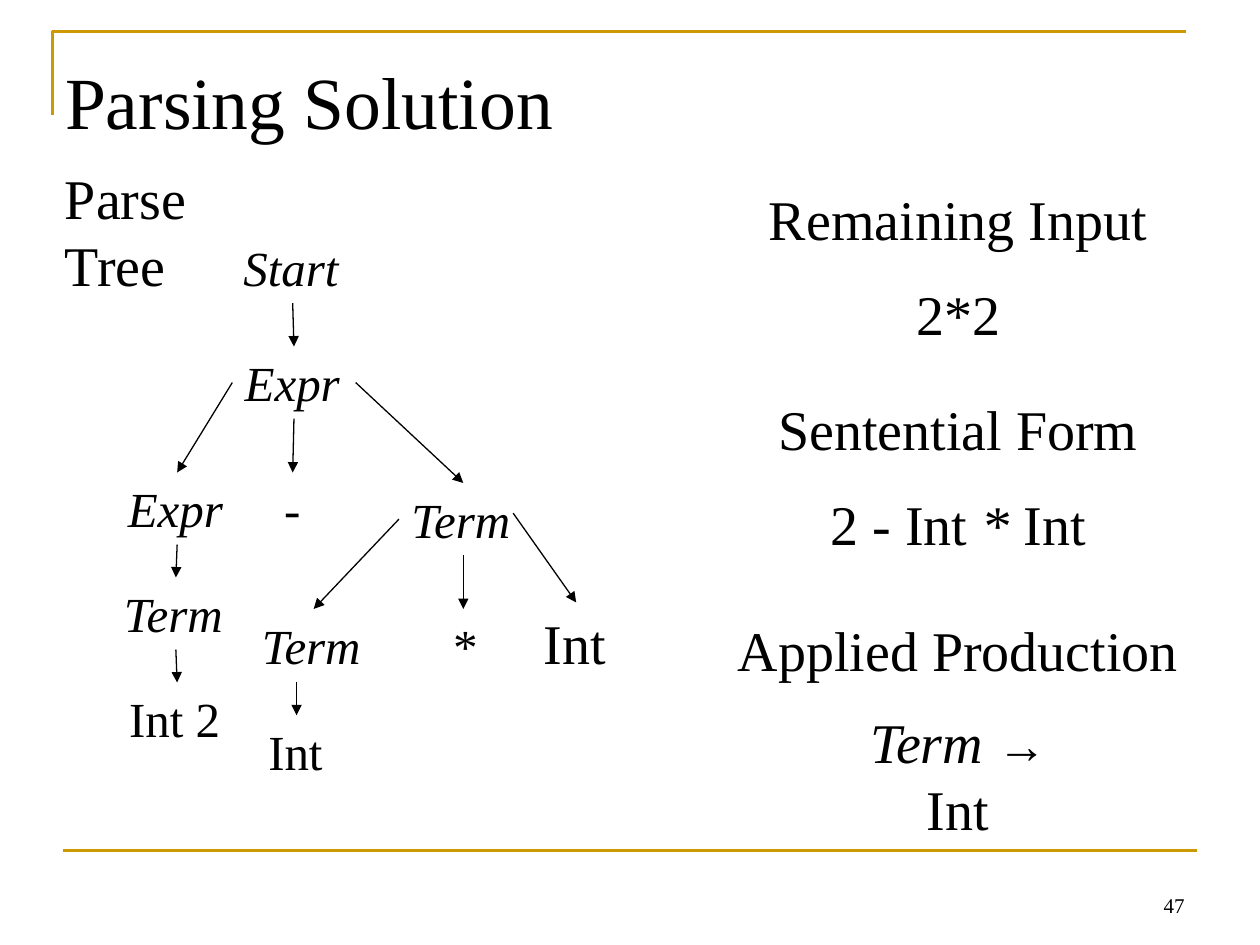
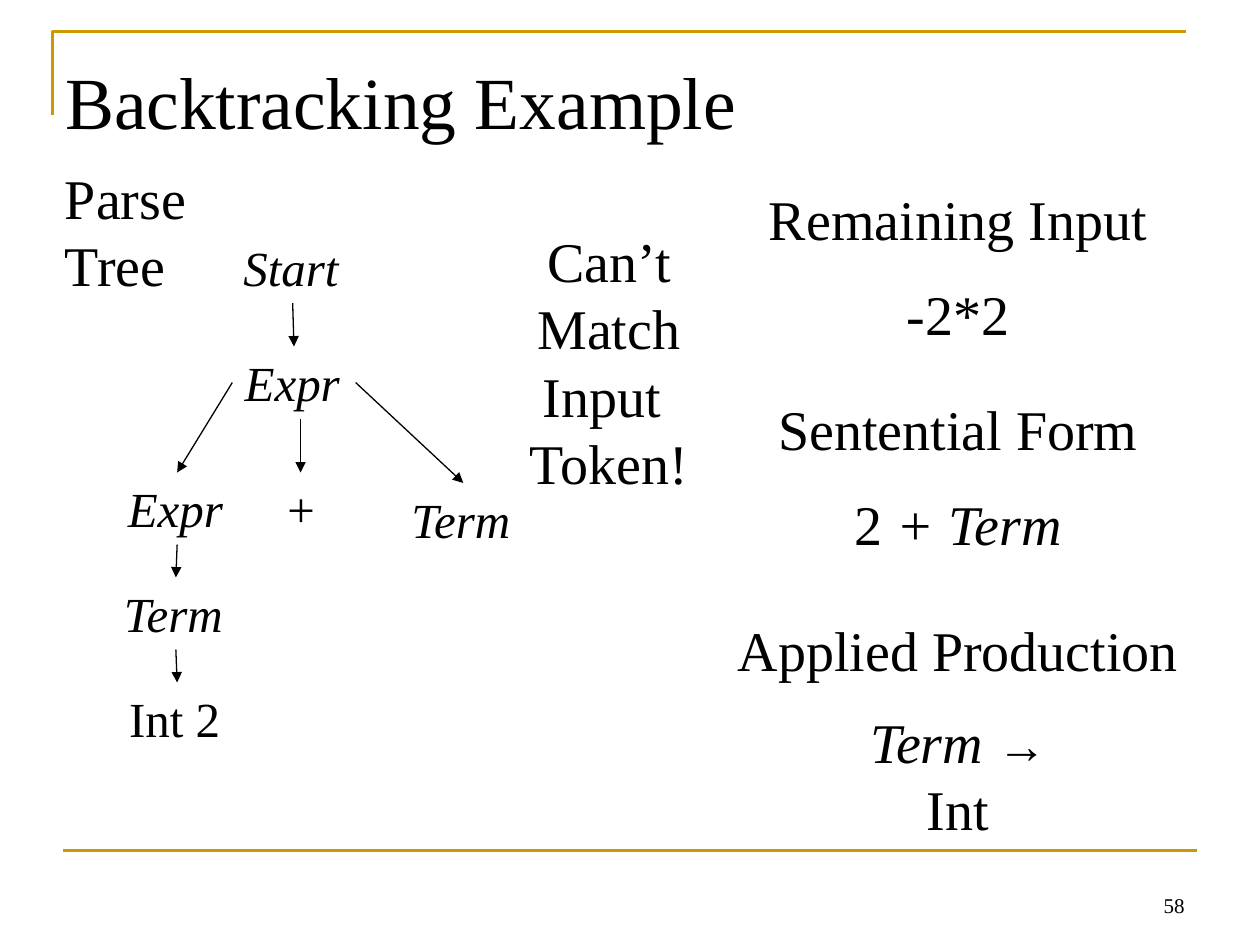
from pptx import Presentation
from pptx.dml.color import RGBColor
from pptx.enum.shapes import MSO_CONNECTOR as Connector
from pptx.enum.text import MSO_ANCHOR as Anchor, MSO_AUTO_SIZE as AutoSize, PP_ALIGN as Align
from pptx.oxml.ns import qn
from pptx.util import Pt
from lxml import etree

PX = 9525  # 96 px to the inch
SERIF = "Times New Roman"
BLACK, WHITE, GOLD = "000000", "FFFFFF", "CC9900"
TOP, LEFT, BOTTOM, RIGHT = range(4)


def color(hex_string):
    return RGBColor.from_string(hex_string)


def add_text(slide, text, left, top, width, height, size=32, italic=False, align=Align.LEFT,
             anchor=Anchor.TOP, wrap=False, grow=True, fill=None, shape=None):
    """Text is a string with one paragraph a line, or a list of (text, size, font, italic) runs."""
    shape = shape or slide.shapes.add_textbox(0, 0, 0, 0)
    frame = shape.text_frame
    frame.word_wrap = wrap
    frame.auto_size = AutoSize.SHAPE_TO_FIT_TEXT if grow else AutoSize.NONE
    frame.vertical_anchor = anchor
    if fill:
        shape.fill.solid()
        shape.fill.fore_color.rgb = color(fill)
    if isinstance(text, str):
        lines = [[(line, size, SERIF, italic)] for line in text.split("\n")]
    else:
        lines = [text]
    for index, runs in enumerate(lines):
        paragraph = frame.add_paragraph() if index else frame.paragraphs[0]
        paragraph.alignment = align
        for run_text, run_size, run_font, run_italic in runs:
            run = paragraph.add_run()
            run.text = run_text
            run.font.size, run.font.name, run.font.italic = Pt(run_size), run_font, run_italic
            run.font.color.rgb = color(BLACK)
    shape.left, shape.top, shape.width, shape.height = (v * PX for v in (left, top, width, height))
    return shape


def add_line(slide, start, end, line_color=BLACK, weight=0.75, arrow=True):
    """Each end is an (x, y) point or a (shape, side) pair to join."""
    line = slide.shapes.add_connector(Connector.STRAIGHT, 0, 0, 0, 0)
    if isinstance(start[0], int):
        line.begin_x, line.begin_y = start[0] * PX, start[1] * PX
    else:
        line.begin_connect(*start)
    if isinstance(end[0], int):
        line.end_x, line.end_y = end[0] * PX, end[1] * PX
    else:
        line.end_connect(*end)
    line.line.color.rgb = color(line_color)
    line.line.width = Pt(weight)
    properties = line.element.spPr
    if arrow:
        etree.SubElement(properties.find(qn("a:ln")), qn("a:tailEnd"), type="triangle")
    etree.SubElement(properties, qn("a:effectLst"))
    return line


def upright(text):
    return (text, 32, SERIF, False)


def slanted(text):
    return (text, 32, SERIF, True)


# Tree nodes: name -> text, left, top, width, height, format
shared_nodes = {
    "start": ("Start", 176, 176, 94, 55, {"italic": True}),
    "expr": ("Expr", 177, 264, 94, 55, {"italic": True}),
    "left expr": ("Expr", 88, 360, 94, 55, {"italic": True}),
    "right term": ("Term", 304, 368, 98, 55, {"italic": True}),
    "left term": ("Term", 85, 440, 98, 55, {"italic": True}),
    "left int": ("Int 2", 89, 520, 92, 55, {}),
}
# Tree edges: a start (node and side, or a point) and the node whose top it meets
shared_edges = [
    (("start", BOTTOM), "expr"),
    (("expr", LEFT), "left expr"),
    (("expr", RIGHT), "right term"),
    (("left expr", BOTTOM), "left term"),
    (("left term", BOTTOM), "left int"),
]

pages = [
    {
        "title": "Parsing Solution", "number": "47", "input": "2*2",
        "form": [upright("2"), slanted(" - "), upright("Int"), slanted(" * "), upright("Int")],
        "nodes": {
            "operator": ("-", 207, 360, 32, 55, {"italic": True}),
            "inner term": ("Term", 190, 464, 98, 55, {"italic": True}),
            "times": ("*", 334, 464, 38, 55, {"italic": True}),
            "right int": ("Int", 405, 459, 68, 61, {"size": 32}),
            "inner int": ("Int", 195, 545, 62, 55, {"fill": WHITE}),
        },
        "edges": [
            (("expr", BOTTOM), "operator"),
            (("right term", LEFT), "inner term"),
            (("right term", BOTTOM), "times"),
            ((391, 391), "right int"),
            ((226, 520), "inner int"),
        ],
        "remark": None,
    },
    {
        "title": "Backtracking Example", "number": "58", "input": "-2*2",
        "form": [upright("2"), slanted(" + Term")],
        "nodes": {"operator": ("+", 207, 360, 44, 55, {"italic": True, "fill": WHITE})},
        "edges": [((229, 319), "operator")],
        "remark": "Can’t\nMatch\nInput \nToken!",
    },
]
production = [slanted("Term "), ("→", 28, "Arial", False), upright(" Int")]
COLUMN_CENTER = 730

presentation = Presentation()
presentation.slide_width, presentation.slide_height = 960 * PX, 720 * PX
layout = presentation.slide_layouts[5]
for placeholder in list(layout.placeholders):
    if placeholder.placeholder_format.idx != 0:
        layout.shapes.element.remove(placeholder.element)

for page_index, page in enumerate(pages):
    slide = presentation.slides.add_slide(layout)

    # Gold frame, drawn once and moved to the layout
    if page_index == 0:
        builder = slide.shapes.build_freeform(40, 88, scale=PX)
        builder.add_line_segments([(40, 24), (904, 24)], close=False)
        corner = builder.convert_to_shape()
        corner.shadow.inherit = False
        corner.fill.background()
        corner.line.color.rgb = color(GOLD)
        corner.line.width = Pt(1.5)
        rule = add_line(slide, (48, 648), (912, 648), GOLD, 1.5, arrow=False)
        for part in (rule, corner):
            layout.shapes.element.insert(2, part.element)

    # Title and slide number
    add_text(slide, page["title"], 40, 16, 880, 120, size=42, anchor=Anchor.MIDDLE,
             wrap=True, grow=False, shape=slide.shapes.title)
    add_text(slide, page["number"], 688, 656, 224, 48, size=12, align=Align.RIGHT,
             anchor=Anchor.BOTTOM, wrap=True, grow=False)

    # Right column: headings and their values
    column = [
        ("Remaining Input", 136, 312), (page["input"], 208, 104),
        ("Sentential Form", 296, 300), (page["form"], 368, 220),
        ("Applied Production", 464, 360),
    ]
    for text, top, width in column:
        add_text(slide, text, COLUMN_CENTER - width // 2, top, width, 61, align=Align.CENTER)
    add_text(slide, production, COLUMN_CENTER - 104, 534, 208, 112, align=Align.CENTER, wrap=True)

    # Parse tree
    add_text(slide, "Parse\nTree", 40, 120, 124, 112)
    nodes = {}
    for name, (text, left, top, width, height, style) in (shared_nodes | page["nodes"]).items():
        nodes[name] = add_text(slide, text, left, top, width, height, **({"size": 28} | style))
    for (origin, place), target in shared_edges + page["edges"]:
        add_line(slide, (nodes.get(origin, origin), place), (nodes[target], TOP))

    # Remark beside the tree
    if page["remark"]:
        add_text(slide, page["remark"], 392, 168, 144, 215, align=Align.CENTER)

presentation.save("out.pptx")
